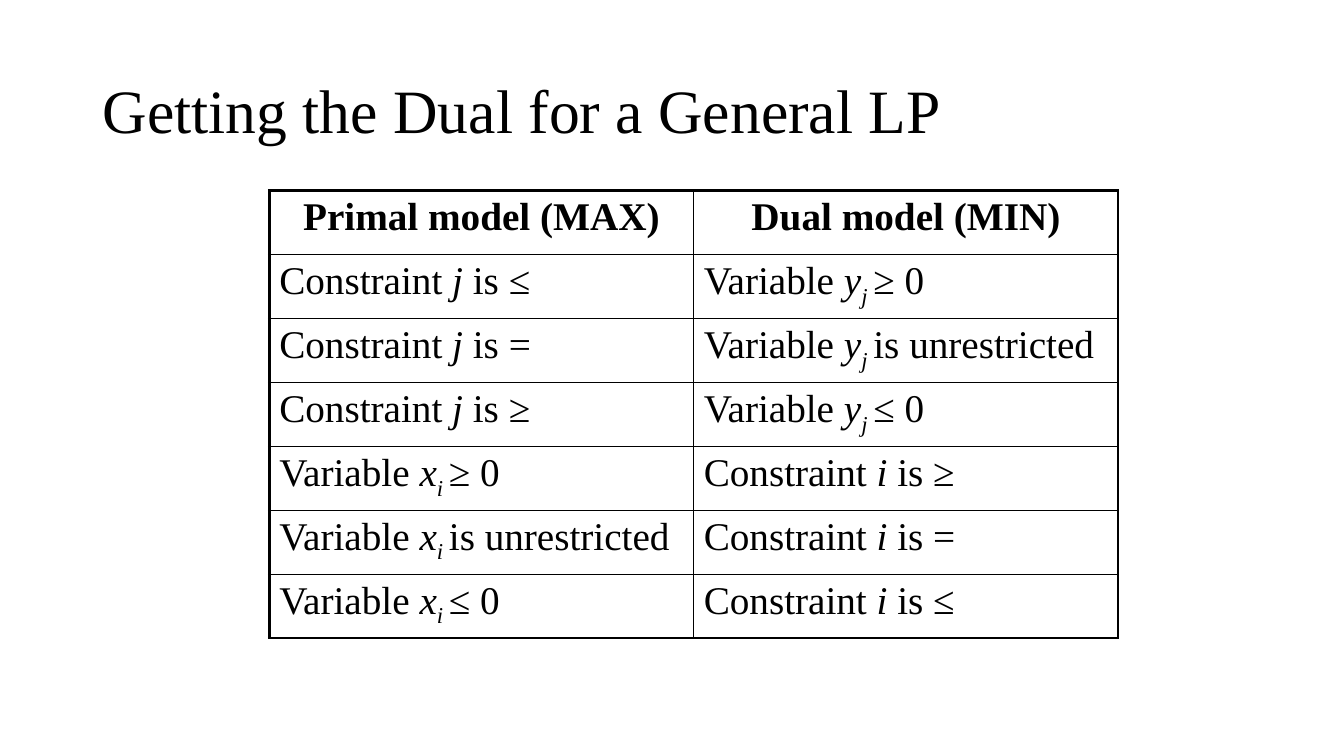
import pptx
import pptx.dml.color
import pptx.enum.text
import pptx.util
from lxml import etree
from pptx.oxml.ns import qn

WIDTH, HEIGHT = 13.33, 7.5
FONT, INK = "Times New Roman", "000000"
OUTER, INNER = 2.25, 1
HEADINGS = ("Primal model (MAX)", "Dual model (MIN)")
RELATIONS = (("≤", "≥ 0"), ("=", "is unrestricted"), ("≥", "≤ 0"))


def rgb(value):
    """Turn a hex string into a colour."""
    return pptx.dml.color.RGBColor.from_string(value)


def add_run(p, text, size, subscript=False, **formats):
    """Add a run with the given font formats."""
    r = p.add_run()
    r.text = text
    formats.update(name=FONT, size=pptx.util.Pt(size))
    for name, value in formats.items():
        setattr(r.font, name, value)
    r.font.color.rgb = rgb(INK)
    if subscript:
        r.font._element.set("baseline", "-25000")


def constraint(index, relation):
    """Return the runs that describe a constraint."""
    return [("Constraint ", {}), (index, {"italic": True}), (f" is {relation}", {})]


def variable(letter, index, relation):
    """Return the runs that describe a subscripted variable."""
    return [("Variable ", {}), (letter, {"italic": True}),
            (f"{index} ", {"italic": True, "subscript": True}), (relation, {})]


def table_rows():
    """Return the heading row and the paired rules of both models."""
    headings = [[(text, {"bold": True})] for text in HEADINGS]
    first = [[constraint("j", sign), variable("y", "j", bound)]
             for sign, bound in RELATIONS]
    second = [[variable("x", "i", bound), constraint("i", sign)]
              for sign, bound in zip(("≥", "=", "≤"), ("≥ 0", "is unrestricted", "≤ 0"))]
    return [headings] + first + second


def set_borders(cell, widths):
    """Draw the left, right, top and bottom borders of a cell."""
    tcPr = cell._tc.get_or_add_tcPr()
    for place, (side, width) in enumerate(zip("LRTB", widths)):
        ln = etree.Element(qn(f"a:ln{side}"), w=str(pptx.util.Pt(width)))
        fill = etree.SubElement(ln, qn("a:solidFill"))
        etree.SubElement(fill, qn("a:srgbClr"), val=INK)
        tcPr.insert(place, ln)


def add_title(s, left, top, width, height):
    """Place the slide title in its box."""
    sp = s.shapes.title
    box = {"left": left, "top": top, "width": width, "height": height}
    for name, value in box.items():
        setattr(sp, name, pptx.util.Inches(value))
    tf = sp.text_frame
    formats = {"word_wrap": True, "auto_size": pptx.enum.text.MSO_AUTO_SIZE.NONE,
               "vertical_anchor": pptx.enum.text.MSO_ANCHOR.MIDDLE}
    for name, value in formats.items():
        setattr(tf, name, value)
    p = tf.paragraphs[0]
    p.alignment = pptx.enum.text.PP_ALIGN.LEFT
    p.line_spacing = 0.9
    add_run(p, "Getting the Dual for a General LP", 44)


def add_rules(s, left, top, width, height):
    """Place the primal and dual table in its box."""
    rows = table_rows()
    n_rows, n_cols = len(rows), len(HEADINGS)
    box = [pptx.util.Inches(v) for v in (left, top, width, height)]
    table = s.shapes.add_table(n_rows, n_cols, *box).table
    table.first_row = table.horz_banding = False
    for i, row in enumerate(rows):
        table.rows[i].height = pptx.util.Inches(height / n_rows)
        for j, runs in enumerate(row):
            cell = table.cell(i, j)
            cell.fill.background()
            edges = (j == 0, j == n_cols - 1, i == 0, i == n_rows - 1)
            set_borders(cell, [OUTER if edge else INNER for edge in edges])
            p = cell.text_frame.paragraphs[0]
            align = pptx.enum.text.PP_ALIGN
            p.alignment = align.CENTER if i == 0 else align.LEFT
            for text, formats in runs:
                add_run(p, text, 28, **formats)


def main():
    """Build the slide and save it."""
    prs = pptx.Presentation()
    prs.slide_width = pptx.util.Inches(WIDTH)
    prs.slide_height = pptx.util.Inches(HEIGHT)
    s = prs.slides.add_slide(prs.slide_layouts[5])
    add_title(s, 0.92, 0.4, 11.5, 1.45)
    add_rules(s, 2.67, 1.89, 8.42, 4.44)
    prs.save("out.pptx")


if __name__ == "__main__":
    main()
